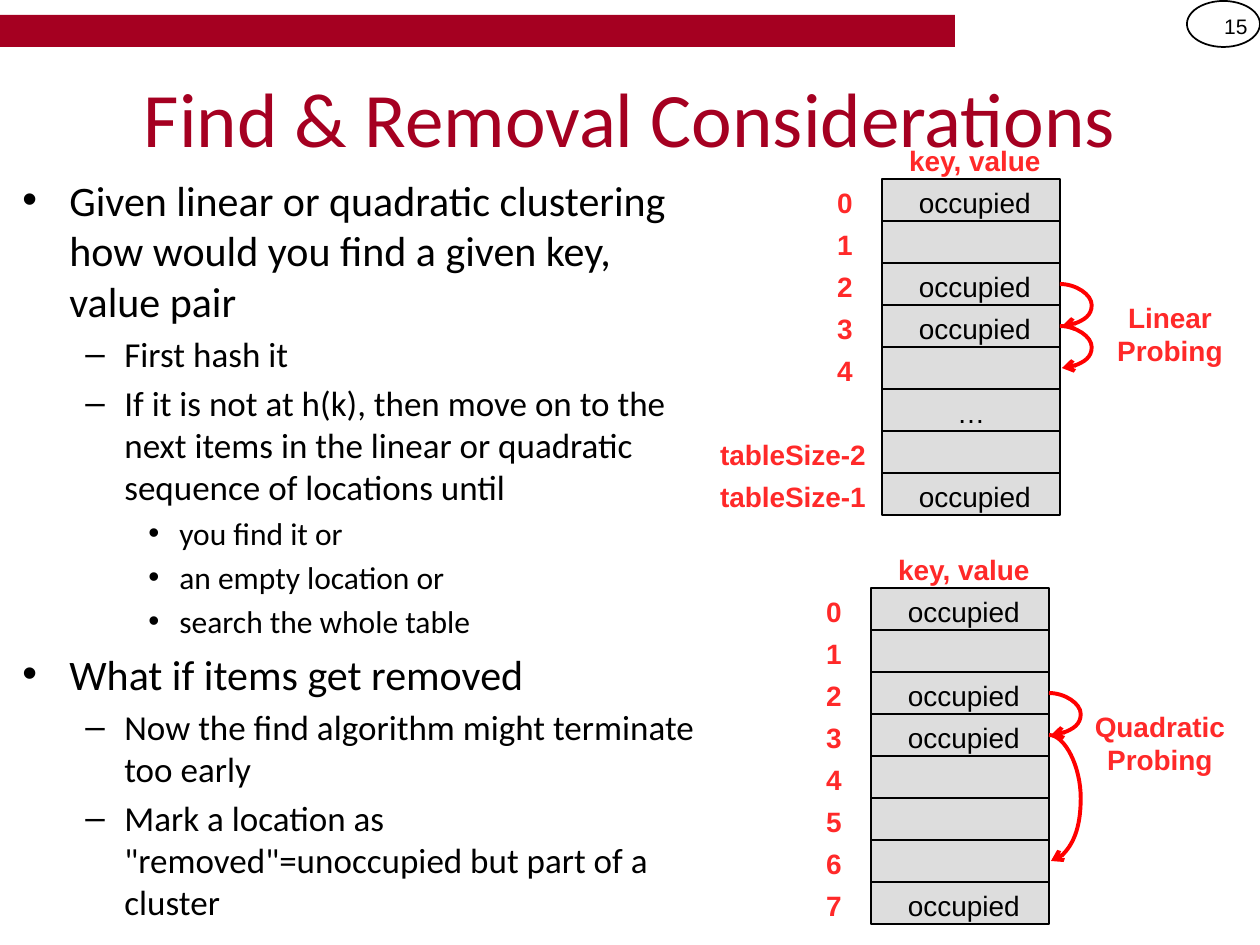
from lxml.etree import SubElement
from pptx import Presentation
from pptx.dml.color import RGBColor
from pptx.enum.shapes import MSO_CONNECTOR as CONNECTOR, MSO_SHAPE as SHAPE
from pptx.enum.text import MSO_ANCHOR as ANCHOR, PP_ALIGN as ALIGN
from pptx.oxml.ns import qn
from pptx.util import Pt

PX = 914400 / 126
CRIMSON, RED, ARROW_RED, BLACK, GRAY = "A50021", "FF2929", "FF0000", "000000", "DDDDDD"

TITLE = "Find & Removal Considerations"
PAGE = "15"
# (level, text)
OUTLINE = [
    (0, "Given linear or quadratic clustering how would you find a given key, value pair"),
    (1, "First hash it"),
    (1, "If it is not at h(k), then move on to the next items in the linear or "
        "quadratic sequence of locations until"),
    (2, "you find it or"),
    (2, "an empty location or"),
    (2, "search the whole table"),
    (0, "What if items get removed"),
    (1, "Now the find algorithm might terminate too early"),
    (1, 'Mark a location as "removed"=unoccupied but part of a cluster'),
]
# level: (size in pt, bullet, text indent in px, hanging in px)
LEVELS = [(24, "•", 47, 47), (20, "–", 102, 39), (18, "•", 157, 31)]

HEADING, USED = " key, value", " occupied"
TABLES = [
    dict(left=882, top=179, caption="Linear Probing", caption_left=1081, caption_top=294,
         rows=[("0", USED), ("1", ""), ("2", USED), ("3", USED), ("4", ""),
               ("", "…"), ("tableSize-2", ""), ("tableSize-1", USED)],
         probes=[(2, 3), (3, 4)]),
    dict(left=871, top=588, caption="Quadratic Probing", caption_left=1071, caption_top=703,
         rows=[("0", USED), ("1", ""), ("2", USED), ("3", USED), ("4", ""),
               ("5", ""), ("6", ""), ("7", USED)],
         probes=[(2, 3), (3, 6)]),
]
CELL_W, ROW_H = 178, 42
SHORT_LABEL_W, LONG_LABEL_W = 74, 178
PROBE_W, PROBE_BULGE = 2, 32


def px(*lengths):
    return [round(length * PX) for length in lengths]


def rgb(color):
    return RGBColor.from_string(color)


def style(paragraph, size, color, face="Arial", bold=False, align=ALIGN.CENTER):
    paragraph.alignment = align
    font = paragraph.font
    font.size, font.name, font.bold = Pt(size), face, bold
    font.color.rgb = rgb(color)


def add_shape(kind, box, fill=None, line=None, line_width=0.75):
    shape = slide.shapes.add_shape(kind, *px(*box))
    shape.shadow.inherit = False
    if fill:
        shape.fill.solid()
        shape.fill.fore_color.rgb = rgb(fill)
    else:
        shape.fill.background()
    if line:
        shape.line.color.rgb = rgb(line)
        shape.line.width = Pt(line_width)
    else:
        shape.line.fill.background()
    return shape


def add_label(text, box, color=RED, size=16, bold=True, align=ALIGN.CENTER, anchor=ANCHOR.TOP):
    frame = slide.shapes.add_textbox(*px(*box)).text_frame
    frame.word_wrap = True
    frame.vertical_anchor = anchor
    frame.text = text
    style(frame.paragraphs[0], size, color, bold=bold, align=align)


def add_cell(text, box):
    frame = add_shape(SHAPE.RECTANGLE, box, GRAY, BLACK).text_frame
    frame.vertical_anchor = ANCHOR.TOP
    if text:
        frame.text = text
        style(frame.paragraphs[0], 16, BLACK)


def add_probe(x, y_from, y_to):
    """Curved arrow that bulges right of the table and returns to its edge."""
    probe = slide.shapes.add_connector(CONNECTOR.CURVE, *px(x, y_from, x + PROBE_W, y_to))
    probe.line.color.rgb = rgb(ARROW_RED)
    probe.line.width = Pt(2.25)
    properties = probe._element.spPr
    SubElement(properties.find(qn("a:ln")), qn("a:tailEnd"), type="arrow")
    SubElement(properties, qn("a:effectLst"))
    guides = properties.find(qn("a:prstGeom")).get_or_add_avLst()
    bend = PROBE_BULGE * 100000 // PROBE_W
    SubElement(guides, qn("a:gd"), name="adj1", fmla=f"val {bend}")


def add_outline():
    frame = slide.shapes.add_textbox(*px(10, 168, 703, 735)).text_frame
    frame.word_wrap = True
    for i, (level, text) in enumerate(OUTLINE):
        size, bullet, indent, hanging = LEVELS[level]
        paragraph = frame.paragraphs[0] if i == 0 else frame.add_paragraph()
        paragraph.text = text
        paragraph.level = level
        if i:
            paragraph.space_before = Pt(size * 0.2)
        properties = paragraph._p.get_or_add_pPr()
        margin, first_line = px(indent, -hanging)
        properties.set("marL", str(margin))
        properties.set("indent", str(first_line))
        SubElement(properties, qn("a:buFont"), typeface="Arial")
        SubElement(properties, qn("a:buChar"), char=bullet)
        style(paragraph, size, BLACK, "Calibri", align=ALIGN.LEFT)


def add_hash_table(left, top, caption, caption_left, caption_top, rows, probes):
    add_label(HEADING, (left, top - ROW_H, CELL_W, ROW_H))
    for i, (index, content) in enumerate(rows):
        y = top + i * ROW_H
        add_cell(content, (left, y, CELL_W, ROW_H))
        if index:
            width = SHORT_LABEL_W if len(index) == 1 else LONG_LABEL_W
            add_label(index, (left - width, y, width, ROW_H))
    for start, end in probes:
        add_probe(left + CELL_W, *(top + (row + 0.5) * ROW_H for row in (start, end)))
    add_label(caption, (caption_left, caption_top, CELL_W, ROW_H))


prs = Presentation()
prs.slide_width, prs.slide_height = px(1260, 945)
slide = prs.slides.add_slide(prs.slide_layouts[5])

add_shape(SHAPE.RECTANGLE, (0, 15, 955, 32), CRIMSON)
add_shape(SHAPE.OVAL, (1187, 1, 73, 46), line=BLACK, line_width=1)
add_label(PAGE, (1187, 1, 73, 50), BLACK, 12, bold=False, align=ALIGN.RIGHT, anchor=ANCHOR.MIDDLE)

title = slide.shapes.title
title.left, title.top, title.width, title.height = px(63, 38, 1134, 158)
title.text_frame.text = TITLE
title.text_frame.vertical_anchor = ANCHOR.MIDDLE
style(title.text_frame.paragraphs[0], 44, CRIMSON, "Calibri")

add_outline()
for table in TABLES:
    add_hash_table(**table)

prs.save("out.pptx")
